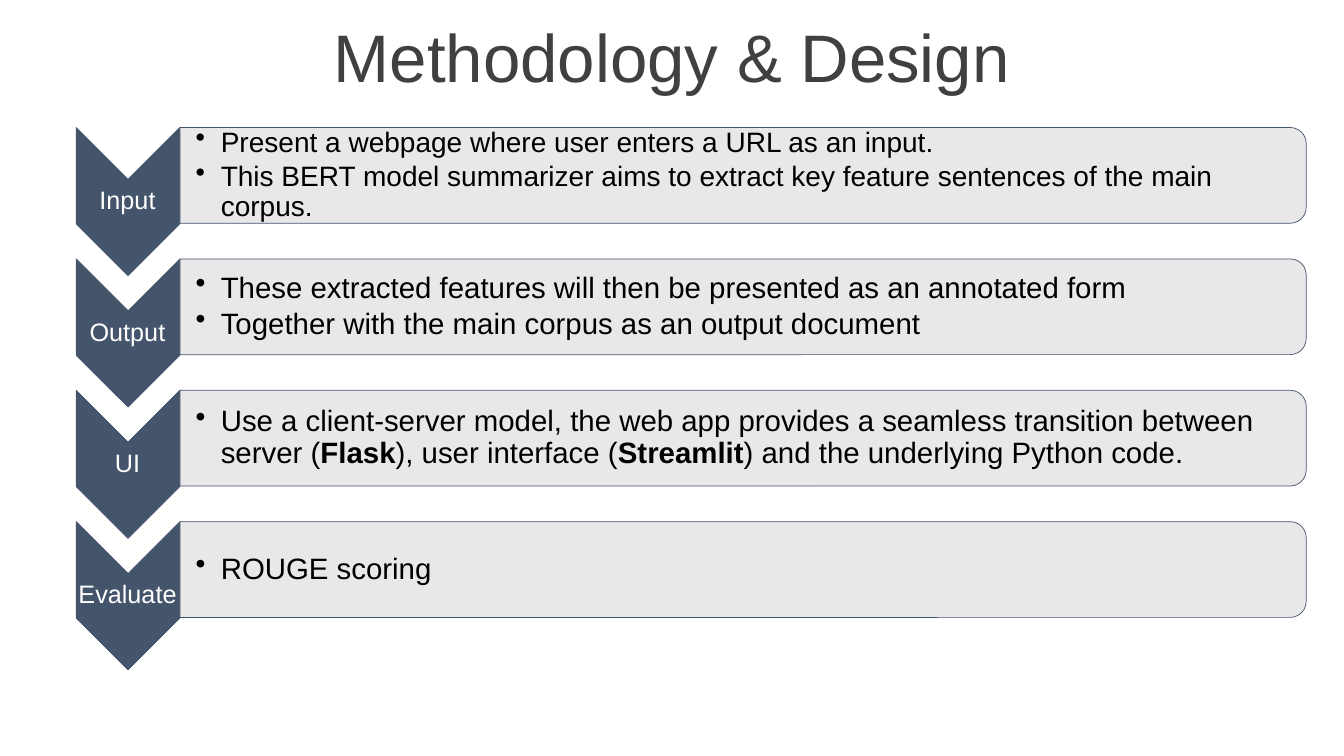
import pptx
import pptx.util
import pptx.dml.color
import pptx.enum.shapes
import pptx.enum.text
import pptx.oxml.ns
import lxml.etree

Inches = pptx.util.Inches
Pt = pptx.util.Pt
RGBColor = pptx.dml.color.RGBColor
MSO_SHAPE = pptx.enum.shapes.MSO_SHAPE
PP_ALIGN = pptx.enum.text.PP_ALIGN
qn = pptx.oxml.ns.qn

NAVY = RGBColor(0x44, 0x54, 0x6A)
PALE_GRAY = RGBColor(0xE7, 0xE6, 0xE6)
DARK_GRAY = RGBColor(0x40, 0x40, 0x40)
WHITE = RGBColor(0xFF, 0xFF, 0xFF)
BLACK = RGBColor(0x00, 0x00, 0x00)

FIRST_CENTER = 1.74
STAGE_PITCH = 3.91 / 3

STAGES = [
    ("Input", 20, [
        [("Present a webpage where user enters a URL as an input.", False)],
        [("This BERT model summarizer aims to extract key feature sentences of the main corpus.", False)],
    ]),
    ("Output", 21, [
        [("These extracted features will then be presented as an annotated form", False)],
        [("Together with the main corpus as an output document", False)],
    ]),
    ("UI", 21, [
        [
            ("Use a client-server model, the web app provides a seamless transition between server (", False),
            ("Flask", True),
            ("), user interface (", False),
            ("Streamlit", True),
            (") and the underlying Python code.", False),
        ],
    ]),
    ("Evaluate", 21, [[("ROUGE scoring", False)]]),
]


class StageSlide:
    """Builds a titled slide of chevron stages in one shared style."""

    def __init__(self, presentation):
        self.font_name = "Arial"
        self.slide = presentation.slides.add_slide(presentation.slide_layouts[5])

    def add_runs(self, paragraph, runs, size, color):
        paragraph.line_spacing = 0.9
        for text, bold in runs:
            run = paragraph.add_run()
            run.text = text
            run.font.name = self.font_name
            run.font.size = Pt(size)
            run.font.bold = bold
            run.font.color.rgb = color

    def title(self, text):
        title = self.slide.shapes.title
        title.left, title.top = Inches(0), Inches(0.18)
        title.width, title.height = Inches(13.33), Inches(0.84)
        frame = title.text_frame
        frame.auto_size = pptx.enum.text.MSO_AUTO_SIZE.NONE
        frame.vertical_anchor = pptx.enum.text.MSO_ANCHOR.MIDDLE
        paragraph = frame.paragraphs[0]
        paragraph.alignment = PP_ALIGN.CENTER
        self.add_runs(paragraph, [(text, False)], 48, DARK_GRAY)

    def rotated_shape(self, kind, center_x, center_y, width, height, color):
        shape = self.slide.shapes.add_shape(
            kind, Inches(center_x - width / 2), Inches(center_y - height / 2),
            Inches(width), Inches(height))
        shape.rotation = 90
        shape.shadow.inherit = False
        shape.fill.solid()
        shape.fill.fore_color.rgb = color
        shape.line.color.rgb = NAVY
        shape.line.width = Pt(0.5)
        return shape

    def chevron(self, center_y):
        self.rotated_shape(MSO_SHAPE.CHEVRON, 1.27, center_y, 1.47, 1.03, NAVY)

    def bar(self, center_y):
        shape = self.rotated_shape(
            MSO_SHAPE.ROUND_2_SAME_RECTANGLE, 7.37, center_y, 0.95, 11.17, PALE_GRAY)
        fill_color = shape._element.spPr.find(qn("a:solidFill")).find(qn("a:srgbClr"))
        lxml.etree.SubElement(fill_color, qn("a:alpha")).set("val", "90000")

    def text_frame(self, left, center_y, width, height, left_inset):
        box = self.slide.shapes.add_textbox(
            Inches(left), Inches(center_y - height / 2), Inches(width), Inches(height))
        frame = box.text_frame
        frame.word_wrap = True
        frame.vertical_anchor = pptx.enum.text.MSO_ANCHOR.MIDDLE
        frame.margin_left = Inches(left_inset)
        frame.margin_top = frame.margin_right = frame.margin_bottom = Inches(0.01)
        return frame

    def label(self, text, center_y):
        paragraph = self.text_frame(0.75, center_y, 1.03, 0.44, 0.01).paragraphs[0]
        paragraph.alignment = PP_ALIGN.CENTER
        self.add_runs(paragraph, [(text, False)], 18, WHITE)

    def bullets(self, items, size, center_y):
        frame = self.text_frame(1.78, center_y, 11.12, 0.86, 0.16)
        for index, runs in enumerate(items):
            paragraph = frame.add_paragraph() if index else frame.paragraphs[0]
            paragraph.space_after = Pt(3)
            properties = paragraph._p.get_or_add_pPr()
            properties.set("marL", str(Inches(0.25)))
            properties.set("indent", str(-Inches(0.25)))
            lxml.etree.SubElement(properties, qn("a:buChar")).set("char", "•")
            self.add_runs(paragraph, runs, size, BLACK)

    def stage(self, name, size, items, center_y):
        self.chevron(center_y + 0.26)
        self.label(name, center_y + 0.26)
        self.bar(center_y)
        self.bullets(items, size, center_y)


def main():
    presentation = pptx.Presentation()
    presentation.slide_width = Inches(13.33)
    presentation.slide_height = Inches(7.5)
    methodology = StageSlide(presentation)
    methodology.title("Methodology & Design")
    for index, (name, size, items) in enumerate(STAGES):
        methodology.stage(name, size, items, FIRST_CENTER + index * STAGE_PITCH)
    presentation.save("out.pptx")


if __name__ == "__main__":
    main()
